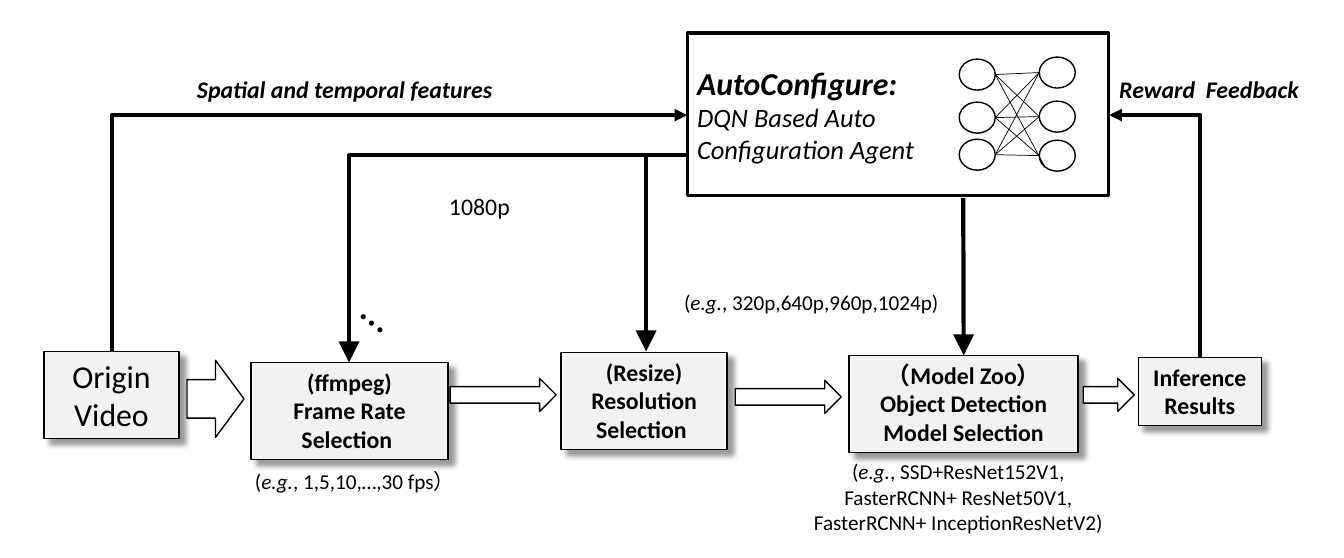
from itertools import product
from pptx import Presentation
from pptx import util as u
from pptx.dml.color import RGBColor
from pptx.enum import shapes, text
from pptx.oxml import parse_xml
from pptx.oxml.ns import nsdecls

PX = 914400 / 100.8
FONT = "Calibri"
COLORS = {"ink": "000000", "paper": "FFFFFF", "stage": "F2F2F2"}

# Content: boxes are left, top, width, height in px
AGENT = (687, 33, 421, 162)
AGENT_TEXT = ["AutoConfigure:", "DQN Based Auto", "Configuration Agent"]
STAGES = {
    "origin": ((44, 351, 135, 87), 22.7, False, ["Origin", "Video"]),
    "frame rate": ((251, 362, 197, 97), 17, True,
                   ["(ffmpeg)", "Frame Rate", "Selection "]),
    "resolution": ((561, 352, 166, 97), 17, True,
                   ["(Resize) Resolution", "Selection "]),
    "model": ((849, 355, 229, 97), 17, True,
              ["（Model Zoo）", "Object Detection", "Model Selection"]),
    "results": ((1138, 357, 123, 68), 17, True, ["Inference", "Results"]),
}
FLOW_ARROWS = [(187, 360, 57, 77), (450, 378, 106, 33),
               (735, 380, 106, 33), (1083, 378, 51, 33)]

# Labels: frame, text (italic between asterisks), format
NOTE = dict(size=15.1)
HEADING = dict(size=17, bold=True, italic=True)
LABELS = [
    ((784, 453, 348, 87), "(*e.g.*, SSD+ResNet152V1, FasterRCNN+ ResNet50V1, "
     "FasterRCNN+ InceptionResNetV2)", dict(NOTE, centered=True)),
    ((245, 463, 267, 36), "(*e.g.*, 1,5,10,…,30 fps）", NOTE),
    ((674, 284, 277, 36), "(*e.g.*, 320p,640p,960p,1024p)", dict(NOTE, wrap=False)),
    ((439, 187, 82, 39), "1080p", dict(size=17, wrap=False)),
    ((187, 70, 413, 39), "Spatial and temporal features", HEADING),
    ((1109, 70, 251, 39), "Reward  Feedback", HEADING),
]
DOTS = (356, 282, 49, 61)

# Network nodes: left edge and tops of each layer
NODE_SIZE = (36, 31)
LAYERS = [(959, (59, 102, 139)), (1039, (57, 101, 140))]

# Elbows: start, end
ELBOWS_DOWN = [((689, 155), (646, 351)), ((646, 155), (349, 362))]
ELBOWS_UP = [((1200, 357), (1109, 115)), ((112, 351), (687, 115))]

deck = Presentation()
deck.slide_width, deck.slide_height = u.Inches(13.33), u.Inches(5.53)
page = deck.slides.add_slide(deck.slide_layouts[6])


def emu(*lengths):
    return [round(length * PX) for length in lengths]


def color(name):
    return RGBColor.from_string(COLORS[name])


def write(box, lines, size, bold=False, italic=False, centered=False,
          wrap=True, middle=False, grow=True):
    frame = box.text_frame
    frame.word_wrap = wrap
    frame.vertical_anchor = text.MSO_ANCHOR.MIDDLE if middle else text.MSO_ANCHOR.TOP
    frame.auto_size = (text.MSO_AUTO_SIZE.SHAPE_TO_FIT_TEXT if grow
                       else text.MSO_AUTO_SIZE.NONE)
    for i, line in enumerate(lines):
        para = frame.paragraphs[0] if i == 0 else frame.add_paragraph()
        para.alignment = text.PP_ALIGN.CENTER if centered else text.PP_ALIGN.LEFT
        for j, part in enumerate(line.split("*")):
            span = para.add_run()
            span.text = part
            span.font.name, span.font.size = FONT, u.Pt(size)
            span.font.bold, span.font.italic = bold, italic or j % 2 == 1
            span.font.color.rgb = color("ink")


def add_box(kind, frame, fill="paper", line=1):
    box = page.shapes.add_shape(kind, *emu(*frame))
    box.shadow.inherit = False
    box.fill.solid()
    box.fill.fore_color.rgb = color(fill)
    box.line.color.rgb = color("ink")
    box.line.width = u.Pt(line)
    return box


def add_shadow(box):
    effects = box._element.spPr.find("{*}effectLst")
    effects.append(parse_xml(
        f'<a:outerShdw {nsdecls("a")} blurRad="50800" dist="76200" dir="2700000" '
        f'algn="tl" rotWithShape="0"><a:srgbClr val="{COLORS["ink"]}">'
        '<a:alpha val="40000"/></a:srgbClr></a:outerShdw>'))


def add_line(kind, start, end, width, head=None):
    line = page.shapes.add_connector(kind, *emu(*start, *end))
    line.line.color.rgb = color("ink")
    line.line.width = u.Pt(width)
    if head:
        line.line._get_or_add_ln().append(parse_xml(
            f'<a:tailEnd {nsdecls("a")} type="triangle" w="{head}" len="{head}"/>'))
    line._element.spPr.append(parse_xml(f'<a:effectLst {nsdecls("a")}/>'))
    return line


def add_elbow(start, end, head, upward=False):
    """One bend: sideways first, or upward first by turning the frame."""
    (x1, y1), (x2, y2) = start, end
    if upward:
        across, rise = x2 - x1, y1 - y2
        mid_x, mid_y = (x1 + x2) / 2, (y1 + y2) / 2
        start = (mid_x - rise / 2, mid_y - across / 2)
        end = (mid_x + rise / 2, mid_y + across / 2)
    elbow = add_line(shapes.MSO_CONNECTOR.ELBOW, start, end, 3, head)
    properties = elbow._element.spPr
    properties.find("{*}prstGeom").set("prst", "bentConnector2")
    if upward:
        properties.find("{*}xfrm").set("rot", str(270 * 60000))


# Agent
SHAPE = shapes.MSO_SHAPE
agent = add_box(SHAPE.RECTANGLE, AGENT, line=2.25)
write(agent, AGENT_TEXT, 18.9, italic=True, middle=True, grow=False)
title = agent.text_frame.paragraphs[0].runs[0].font
title.size, title.bold = u.Pt(22.7), True

# Elbow arrows
for start, end in ELBOWS_DOWN:
    add_elbow(start, end, "lg")
for start, end in ELBOWS_UP:
    add_elbow(start, end, "med", upward=True)

# Pipeline stages and the arrows between them
stages = {}
for name, (frame, size, bold, lines) in STAGES.items():
    stages[name] = add_box(SHAPE.RECTANGLE, frame, "stage")
    add_shadow(stages[name])
    write(stages[name], lines, size, bold=bold, centered=True)
for frame in FLOW_ARROWS:
    add_box(SHAPE.RIGHT_ARROW, frame)

# Agent to model selection
model_arrow = add_line(shapes.MSO_CONNECTOR.STRAIGHT, (963, 198), (963, 355), 3, "lg")
model_arrow.end_connect(stages["model"], 0)

# Labels
for frame, label, style in LABELS:
    write(page.shapes.add_textbox(*emu(*frame)), [label], **style)
dots = page.shapes.add_textbox(*emu(*DOTS))
dots.rotation = 38.2
write(dots, ["…"], 30.2)

# Neural network: every input joined to every output
inputs, outputs = [[add_box(SHAPE.OVAL, (left, top, *NODE_SIZE)) for top in tops]
                   for left, tops in LAYERS]
RIGHT, LEFT, LOWER_LEFT = 6, 2, 3
for source, target in product(inputs, outputs):
    link = add_line(shapes.MSO_CONNECTOR.STRAIGHT, (0, 0), (0, 0), 0.5)
    steep = source is inputs[0] and target is outputs[-1]
    link.begin_x, link.begin_y = source.left + source.width, source.top + source.height // 2
    link.end_x, link.end_y = target.left, target.top + target.height // 2
    if steep:
        link.end_x += round(target.width * 0.15)
        link.end_y += round(target.height * 0.35)
    for join, node, site in ((link._connect_begin_to, source, RIGHT),
                             (link._connect_end_to, target, LOWER_LEFT if steep else LEFT)):
        join(node, site)

deck.save("out.pptx")
